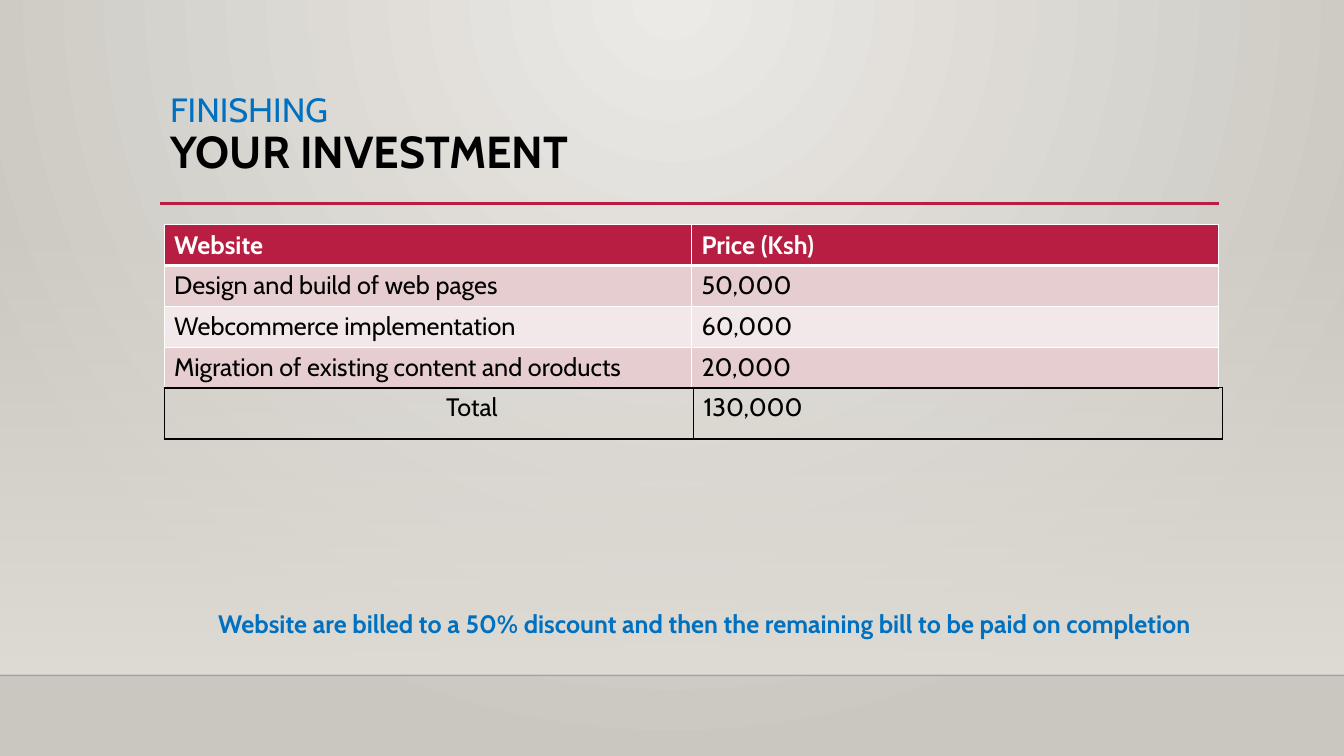
"""Build the investment slide with its price tables."""
from dataclasses import dataclass

from pptx import Presentation
from pptx import util as u
from pptx.dml.color import RGBColor
from pptx.enum import shapes, text
from pptx.oxml import parse_xml
from pptx.oxml.ns import nsdecls, qn

FONT = "Cabin"
RED, BLUE, BLACK, WHITE = "B71E42", "0070C0", "000000", "FFFFFF"
DARK_BAND, LIGHT_BAND = "E6CDCF", "F3E8E9"


@dataclass
class Border:
    color: str
    width: float = 1


@dataclass
class Row:
    texts: tuple[str, str]
    height: float
    top: Border
    bottom: Border
    side: Border
    fill: str | None = None
    color: str = BLACK
    bold: bool = False
    indent: float = 0.25


@dataclass
class Rule:
    left: float
    right: float
    y: float
    color: str
    width: float
    opacity: int = 100


WHITE_LINE, THICK_LINE, BLACK_LINE = Border(WHITE), Border(WHITE, 3), Border(BLACK)
PRICE_ROWS = [
    Row(("Website", "Price (Ksh)"), 1.03, WHITE_LINE, THICK_LINE, WHITE_LINE, RED, WHITE, True),
    Row(("Design and build of web pages", "50,000"), 1.03, THICK_LINE, WHITE_LINE, WHITE_LINE, DARK_BAND),
    Row(("Webcommerce implementation", "60,000"), 1.03, WHITE_LINE, WHITE_LINE, WHITE_LINE, LIGHT_BAND),
    Row(("Migration of existing content and oroducts", "20,000"), 1.03,
        WHITE_LINE, BLACK_LINE, WHITE_LINE, DARK_BAND),
]
TOTAL_ROWS = [Row(("Total", "130,000"), 1.3, BLACK_LINE, BLACK_LINE, BLACK_LINE, indent=7.1)]
RULES = [
    Rule(0, 33.87, 17.02, "000001", 1, 20),
    Rule(4.04, 30.73, 5.13, RED, 2.5),
]


def rgb(value: str) -> RGBColor:
    """Turn a hex string into a colour."""
    return RGBColor.from_string(value)


def set_font(font, size: float, color: str, bold: bool = False) -> None:
    """Set the slide's typeface with a size, colour and weight."""
    font.name, font.size, font.bold = FONT, u.Pt(size), bold
    font.color.rgb = rgb(color)


def set_gradient(element, stops: list[tuple[int, str, int]], direction: str) -> None:
    """Replace the gradient in an element by stops of position, colour and opacity."""
    stop_xml = "".join(
        f'<a:gs pos="{position * 1000}"><a:srgbClr val="{color}">'
        f'<a:alpha val="{opacity * 1000}"/></a:srgbClr></a:gs>'
        for position, color, opacity in stops)
    gradient = next(element.iter(qn("a:gradFill")))
    gradient.getparent().replace(gradient, parse_xml(
        f'<a:gradFill {nsdecls("a")} rotWithShape="1"><a:gsLst>{stop_xml}</a:gsLst>{direction}</a:gradFill>'))


def draw_backdrop(slide) -> None:
    """Paint the radial background and the wall above the floor."""
    slide.background.fill.gradient()
    set_gradient(slide.element, [(0, "ECEAE7", 100), (100, "CAC7C1", 100)],
                 '<a:path path="circle"><a:fillToRect l="43000" t="0" r="43000" b="100000"/></a:path>')
    wall = slide.shapes.add_shape(
        shapes.MSO_SHAPE.RECTANGLE, u.Cm(0), u.Cm(5.61), u.Cm(33.87), u.Cm(11.4))
    wall.shadow.inherit = False
    wall.line.fill.background()
    wall.fill.gradient()
    set_gradient(wall.element, [(0, "DFDBD5", 0), (100, "DFDBD5", 100)], '<a:lin ang="5400000" scaled="0"/>')


def draw_rule(slide, rule: Rule) -> None:
    """Draw one horizontal rule."""
    line = slide.shapes.add_connector(
        shapes.MSO_CONNECTOR.STRAIGHT, u.Cm(rule.left), u.Cm(rule.y), u.Cm(rule.right), u.Cm(rule.y))
    line.line.color.rgb = rgb(rule.color)
    line.line.width = u.Pt(rule.width)
    properties = line.element.spPr
    properties.append(parse_xml(f'<a:effectLst {nsdecls("a")}/>'))
    if rule.opacity < 100:
        next(properties.iter(qn("a:srgbClr"))).append(
            parse_xml(f'<a:alpha {nsdecls("a")} val="{rule.opacity * 1000}"/>'))


def add_text_frame(slide, left: float, top: float, width: float, height: float):
    """Add a wrapping text box and return its frame."""
    frame = slide.shapes.add_textbox(u.Cm(left), u.Cm(top), u.Cm(width), u.Cm(height)).text_frame
    frame.word_wrap = True
    return frame


def draw_title(slide) -> None:
    """Write the two-line title."""
    paragraph = add_text_frame(slide, 4.04, 2.24, 26.67, 2.92).paragraphs[0]
    paragraph.line_spacing = 0.9
    section = paragraph.add_run()
    section.text = "FINISHING"
    set_font(section.font, 24, BLUE)
    paragraph.add_line_break()
    heading = paragraph.add_run()
    heading.text = "YOUR INVESTMENT"
    set_font(heading.font, 32, BLACK, True)


def draw_note(slide) -> None:
    """Write the billing note."""
    frame = add_text_frame(slide, 3.78, 15.06, 28.09, 1.3)
    frame.vertical_anchor = text.MSO_ANCHOR.MIDDLE
    paragraph = frame.paragraphs[0]
    paragraph.text = "Website are billed to a 50% discount and then the remaining bill to be paid on completion "
    paragraph.alignment = text.PP_ALIGN.CENTER
    set_font(paragraph.font, 18, BLUE, True)


def set_borders(cell, row: Row) -> None:
    """Draw the four borders of a cell."""
    properties = cell._tc.get_or_add_tcPr()
    borders = {"lnL": row.side, "lnR": row.side, "lnT": row.top, "lnB": row.bottom}
    for index, (tag, border) in enumerate(borders.items()):
        properties.insert(index, parse_xml(
            f'<a:{tag} {nsdecls("a")} w="{u.Pt(border.width)}"><a:solidFill>'
            f'<a:srgbClr val="{border.color}"/></a:solidFill></a:{tag}>'))


def draw_table(slide, rows: list[Row], top: float, width: float) -> None:
    """Draw a table of two equal columns."""
    height = sum(row.height for row in rows)
    table = slide.shapes.add_table(
        len(rows), 2, u.Cm(4.14), u.Cm(top), u.Cm(width), u.Cm(height)).table
    table.first_row = table.horz_banding = False
    for table_row, row in zip(table.rows, rows):
        table_row.height = u.Cm(row.height)
        for cell, content in zip(table_row.cells, row.texts):
            cell.text = content
            set_font(cell.text_frame.paragraphs[0].font, 18, row.color, row.bold)
            if row.fill:
                cell.fill.solid()
                cell.fill.fore_color.rgb = rgb(row.fill)
            else:
                cell.fill.background()
            set_borders(cell, row)
        table_row.cells[0].margin_left = u.Cm(row.indent)


def main() -> None:
    """Build and save the presentation."""
    presentation = Presentation()
    presentation.slide_width, presentation.slide_height = u.Cm(33.87), u.Cm(19.05)
    slide = presentation.slides.add_slide(presentation.slide_layouts[6])
    draw_backdrop(slide)
    for rule in RULES:
        draw_rule(slide, rule)
    draw_title(slide)
    draw_table(slide, PRICE_ROWS, 5.66, 26.57)
    draw_table(slide, TOTAL_ROWS, 9.76, 26.67)
    draw_note(slide)
    presentation.save("out.pptx")


if __name__ == "__main__":
    main()
